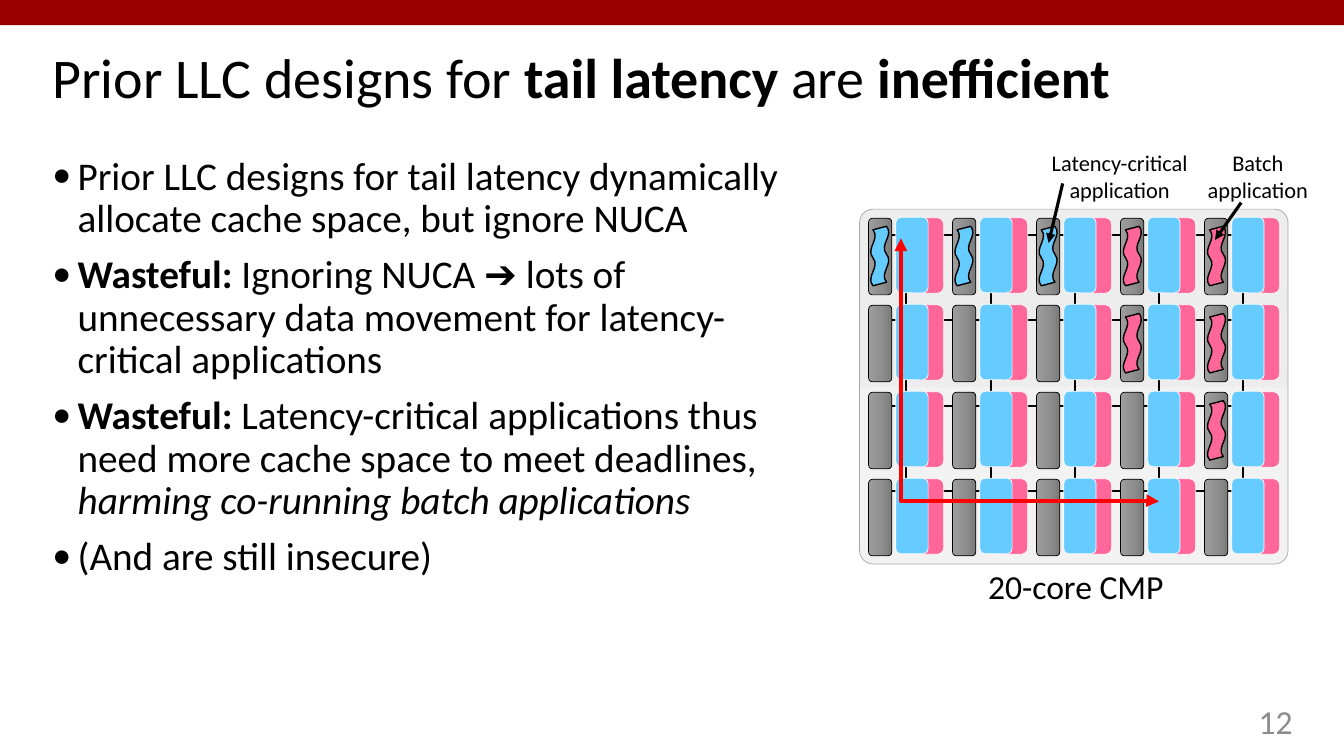
"""Builds the slide on why earlier tail-latency LLC designs are inefficient."""
from copy import deepcopy
from dataclasses import dataclass
from itertools import product

from lxml.etree import SubElement
from pptx import Presentation
from pptx.dml.color import RGBColor
from pptx.enum.shapes import MSO_CONNECTOR as Link, MSO_SHAPE as Preset
from pptx.enum.text import MSO_ANCHOR as Anchor, MSO_AUTO_SIZE as AutoSize, PP_ALIGN as Align
from pptx.oxml.ns import qn
from pptx.util import Inches, Pt


@dataclass(frozen=True)
class Theme:
    font: str = "Calibri"
    ink: str = "000000"
    banner: str = "990000"
    page: str = "8C8C8C"
    latency: str = "66CCFF"
    batch: str = "FF6699"
    gap: str = "FFFFFF"
    route: str = "FF0000"
    chip_edge: str = "A6A6A6"
    chip: tuple = ("F2F2F2", "EDEDED")
    core: tuple = ("9D9D9D", "909090", "7C7C7C")
    title_size: int = 40
    body_size: int = 28
    caption_size: int = 24
    label_size: int = 16


class SlideBuilder:
    def __init__(self, slide, theme):
        self.slide, self.theme = slide, theme

    def place(self, part, left, top, width, height):
        part.left, part.top = Inches(left), Inches(top)
        part.width, part.height = Inches(width), Inches(height)

    def compose(self, paragraph, runs, size, align, color=None):
        paragraph.alignment = align
        font = paragraph.font
        font.name, font.size = self.theme.font, Pt(size)
        font.color.rgb = RGBColor.from_string(color or self.theme.ink)
        for words, style in runs:
            run = paragraph.add_run()
            run.text = words
            if style == "bold":
                run.font.bold = True
            elif style == "italic":
                run.font.italic = True

    def fill_placeholder(self, holder, box, paragraphs, size, bulleted=False):
        self.place(holder, *box)
        frame = holder.text_frame
        frame.auto_size, frame.vertical_anchor = AutoSize.NONE, Anchor.TOP
        for index, runs in enumerate(paragraphs):
            paragraph = frame.add_paragraph() if index else frame.paragraphs[0]
            self.compose(paragraph, runs, size, Align.LEFT)
            paragraph.line_spacing = 0.9
            if bulleted:
                paragraph.space_before = Pt(10)
                self.add_bullet(paragraph)

    def add_bullet(self, paragraph):
        properties = paragraph._p.get_or_add_pPr()
        properties.set("marL", str(Inches(0.25)))
        properties.set("indent", str(Inches(-0.25)))
        SubElement(properties, qn("a:buSzPct")).set("val", "80000")
        SubElement(properties, qn("a:buChar")).set("char", "●")
        properties.append(properties.find(qn("a:defRPr")))

    def text(self, box, lines, size, align=Align.CENTER, color=None, wrap=True, anchor=Anchor.TOP):
        frame = self.slide.shapes.add_textbox(*map(Inches, box)).text_frame
        frame.word_wrap, frame.vertical_anchor = wrap, anchor
        for index, words in enumerate(lines):
            paragraph = frame.add_paragraph() if index else frame.paragraphs[0]
            self.compose(paragraph, [(words, None)], size, align, color)

    def block(self, preset, box, fill, line=None, weight=0.5, rotation=0, adjustments=()):
        block = self.slide.shapes.add_shape(preset, *map(Inches, box))
        block.rotation = rotation
        block.shadow.inherit = False
        for index, value in enumerate(adjustments):
            block.adjustments[index] = value
        if isinstance(fill, str):
            block.fill.solid()
            block.fill.fore_color.rgb = RGBColor.from_string(fill)
        else:
            self.shade(block, fill)
        if line:
            block.line.color.rgb = RGBColor.from_string(line)
            block.line.width = Pt(weight)
        else:
            block.line.fill.background()

    def shade(self, block, colors):
        block.fill.gradient()
        block.fill.gradient_angle = 270 if len(colors) > 2 else 0
        stops = block.element.spPr.find(qn("a:gradFill")).find(qn("a:gsLst"))
        for _ in colors[2:]:
            stops.append(deepcopy(stops[0]))
        for index, (stop, color) in enumerate(zip(block.fill.gradient_stops, colors)):
            stop.position = index / (len(colors) - 1)
            stop.color.rgb = RGBColor.from_string(color)

    def connect(self, start, end, color, weight, ends=(), kind=Link.STRAIGHT):
        link = self.slide.shapes.add_connector(kind, *map(Inches, (*start, *end)))
        link.line.color.rgb = RGBColor.from_string(color)
        link.line.width = Pt(weight)
        properties = link.element.spPr
        outline = properties.find(qn("a:ln"))
        for side in ends:
            SubElement(outline, qn(f"a:{side}")).set("type", "triangle")
        SubElement(properties, qn("a:effectLst"))
        return properties

    def elbow(self, start, end, color, weight, bend):
        properties = self.connect(start, end, color, weight, ("headEnd", "tailEnd"), Link.ELBOW)
        properties.find(qn("a:xfrm")).set("rot", str(270 * 60000))
        geometry = properties.find(qn("a:prstGeom"))
        guides = geometry.find(qn("a:avLst"))
        if guides is None:
            guides = SubElement(geometry, qn("a:avLst"))
        guide = SubElement(guides, qn("a:gd"))
        guide.set("name", "adj1")
        guide.set("fmla", f"val {round(bend * 100000)}")


def draw_chip(builder):
    theme = builder.theme
    columns, rows = 5, 4
    pitch_x, pitch_y = 0.833, 0.863
    builder.block(Preset.ROUNDED_RECTANGLE, (8.89, 1.71, 3.52, 4.25), theme.chip,
                  theme.chip_edge, rotation=270, adjustments=(0.038,))
    for row in range(rows):
        y = 2.33 + 0.847 * row
        builder.connect((8.77, y), (12.53, y), theme.ink, 1.5)
    for column in range(columns):
        x = 8.99 + 0.835 * column
        builder.connect((x, 5.28), (x, 2.32), theme.ink, 1.5)

    tile_parts = [
        (8.35, 2.43, 0.76, 0.23, theme.core, theme.ink),
        (8.79, 2.34, 0.75, 0.39, theme.batch, theme.gap),
        (8.67, 2.37, 0.75, 0.32, theme.latency, theme.gap),
    ]
    for row, column in product(range(rows), range(columns)):
        for left, top, width, height, fill, line in tile_parts:
            box = (left + pitch_x * column, top + pitch_y * row, width, height)
            builder.block(Preset.ROUNDED_RECTANGLE, box, fill, line, rotation=270)

    builder.elbow((11.52, 2.39), (8.91, 4.95), theme.route, 3, 0.997)

    threads = {
        theme.latency: [(0, 0), (1, 0), (2, 0)],
        theme.batch: [(3, 0), (4, 0), (3, 1), (4, 1), (4, 2)],
    }
    for color, tiles in threads.items():
        for column, row in tiles:
            box = (8.43 + 0.835 * column, 2.45 + 0.865 * row, 0.59, 0.18)
            builder.block(Preset.DOUBLE_WAVE, box, color, theme.ink, 1, 90, (0.125, 0.03))

    labels = [
        ("Latency-critical", (10.32, 1.43, 1.57, 0.64), (10.54, 1.82), (10.4, 2.41)),
        ("Batch", (11.87, 1.43, 1.21, 0.64), (12.31, 2.01), (12.05, 2.38)),
    ]
    for kind, box, start, end in labels:
        builder.text(box, [kind, "application"], theme.label_size, wrap=False)
        builder.connect(start, end, theme.ink, 2.25, ("tailEnd",))
    builder.text((8.33, 5.57, 4.68, 0.5), ["20-core CMP"], theme.caption_size)


def main():
    theme = Theme()
    deck = Presentation()
    deck.slide_width, deck.slide_height = Inches(13.33), Inches(7.5)
    slide = deck.slides.add_slide(deck.slide_layouts[1])
    builder = SlideBuilder(slide, theme)
    headline = [("Prior LLC designs for ", None), ("tail latency ", "bold"),
                ("are ", None), ("inefficient", "bold")]
    points = [
        [("Prior LLC designs for tail latency dynamically allocate cache space, but ignore NUCA", None)],
        [("Wasteful: ", "bold"),
         ("Ignoring NUCA ➔ lots of unnecessary data movement for latency-critical applications", None)],
        [("Wasteful: ", "bold"),
         ("Latency-critical applications thus need more cache space to meet deadlines, ", None),
         ("harming co-running batch applications", "italic")],
        [("(And are still insecure)", None)],
    ]
    builder.block(Preset.RECTANGLE, (0, 0, 13.33, 0.25), theme.banner)
    builder.fill_placeholder(slide.shapes.title, (0.42, 0.45, 12.5, 0.85), [headline], theme.title_size)
    builder.fill_placeholder(slide.placeholders[1], (0.42, 1.5, 7.77, 5.26), points,
                             theme.body_size, bulleted=True)
    draw_chip(builder)
    builder.text((9.92, 6.95, 3, 0.4), ["12"], theme.caption_size, Align.RIGHT, theme.page,
                 anchor=Anchor.MIDDLE)
    deck.save("out.pptx")


if __name__ == "__main__":
    main()
